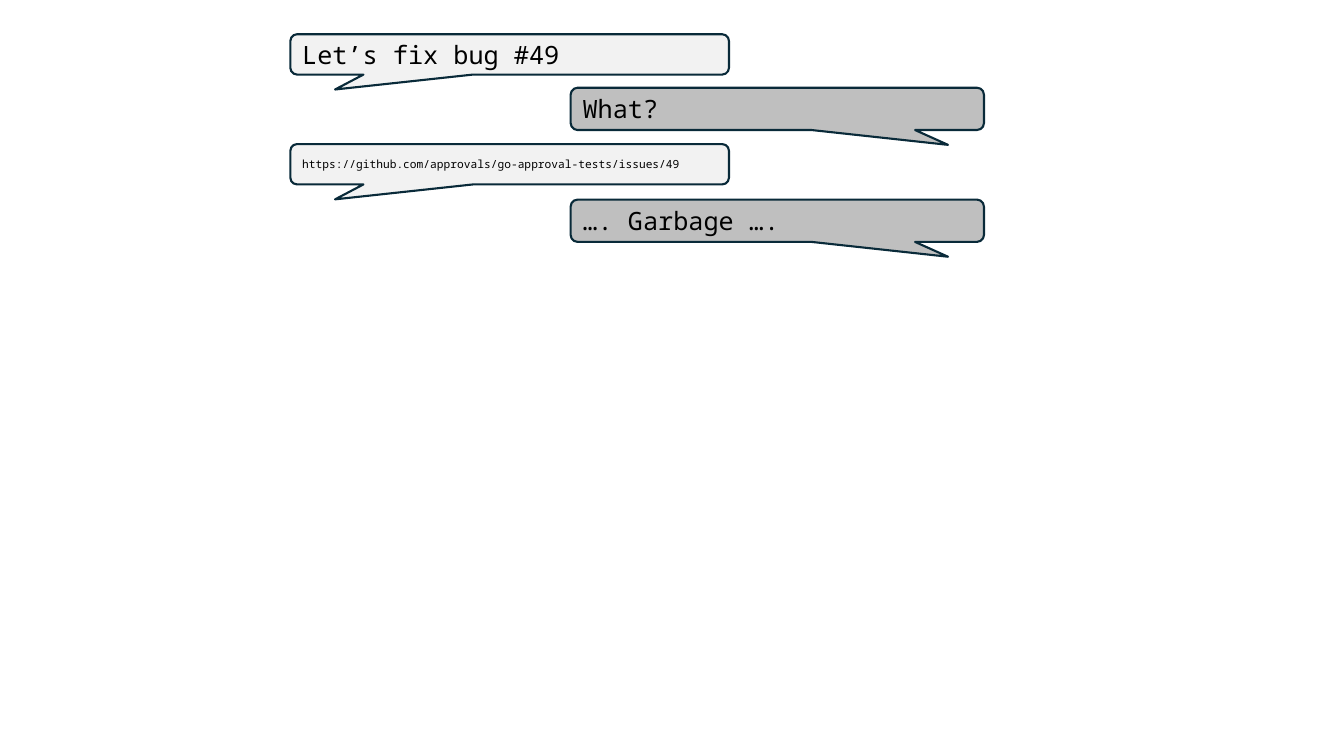
from dataclasses import dataclass

from pptx import Presentation
from pptx import util as u
from pptx.dml.color import RGBColor
from pptx.enum import shapes, text

BLACK = RGBColor(0x00, 0x00, 0x00)
OUTLINE = RGBColor(0x09, 0x2A, 0x39)
LIGHT_GRAY = RGBColor(0xF2, 0xF2, 0xF2)
MID_GRAY = RGBColor(0xBF, 0xBF, 0xBF)
FONT = "Noto Sans Mono"


@dataclass
class Speaker:
    left: float
    width: float
    height: float
    fill: RGBColor
    adjustments: tuple  # tail x, tail y, corner radius


ASKER = Speaker(2.88, 4.35, 0.4, LIGHT_GRAY, (-0.398, 0.871, 0.167))
REPLIER = Speaker(5.66, 4.1, 0.42, MID_GRAY, (0.413, 0.85, 0.167))

# Speaker, top in inches, wording, text size
MESSAGES = [
    (ASKER, 0.34, "Let’s fix bug #49", 18),
    (REPLIER, 0.87, "What?", 18),
    (ASKER, 1.43, "https://github.com/approvals/go-approval-tests/issues/49", 8),
    (REPLIER, 1.98, "…. Garbage ….", 18),
]


def add_bubble(slide, speaker, top, message, size):
    bubble = slide.shapes.add_shape(
        shapes.MSO_SHAPE.ROUNDED_RECTANGULAR_CALLOUT,
        u.Inches(speaker.left), u.Inches(top),
        u.Inches(speaker.width), u.Inches(speaker.height))
    for index, value in enumerate(speaker.adjustments):
        bubble.adjustments[index] = value
    bubble.shadow.inherit = False
    bubble.fill.solid()
    bubble.fill.fore_color.rgb = speaker.fill
    bubble.line.color.rgb = OUTLINE
    bubble.line.width = u.Pt(1.5)

    # Message text
    frame = bubble.text_frame
    frame.word_wrap = True
    frame.vertical_anchor = text.MSO_ANCHOR.MIDDLE
    paragraph = frame.paragraphs[0]
    paragraph.text = message
    paragraph.alignment = text.PP_ALIGN.LEFT
    paragraph.font.name = FONT
    paragraph.font.size = u.Pt(size)
    paragraph.font.color.rgb = BLACK


def add_conversation(slide):
    for speaker, top, message, size in MESSAGES:
        add_bubble(slide, speaker, top, message, size)


def main():
    deck = Presentation()
    deck.slide_width = u.Inches(13.33)
    deck.slide_height = u.Inches(7.5)
    slide = deck.slides.add_slide(deck.slide_layouts[6])  # blank layout
    add_conversation(slide)
    deck.save("out.pptx")


if __name__ == "__main__":
    main()
